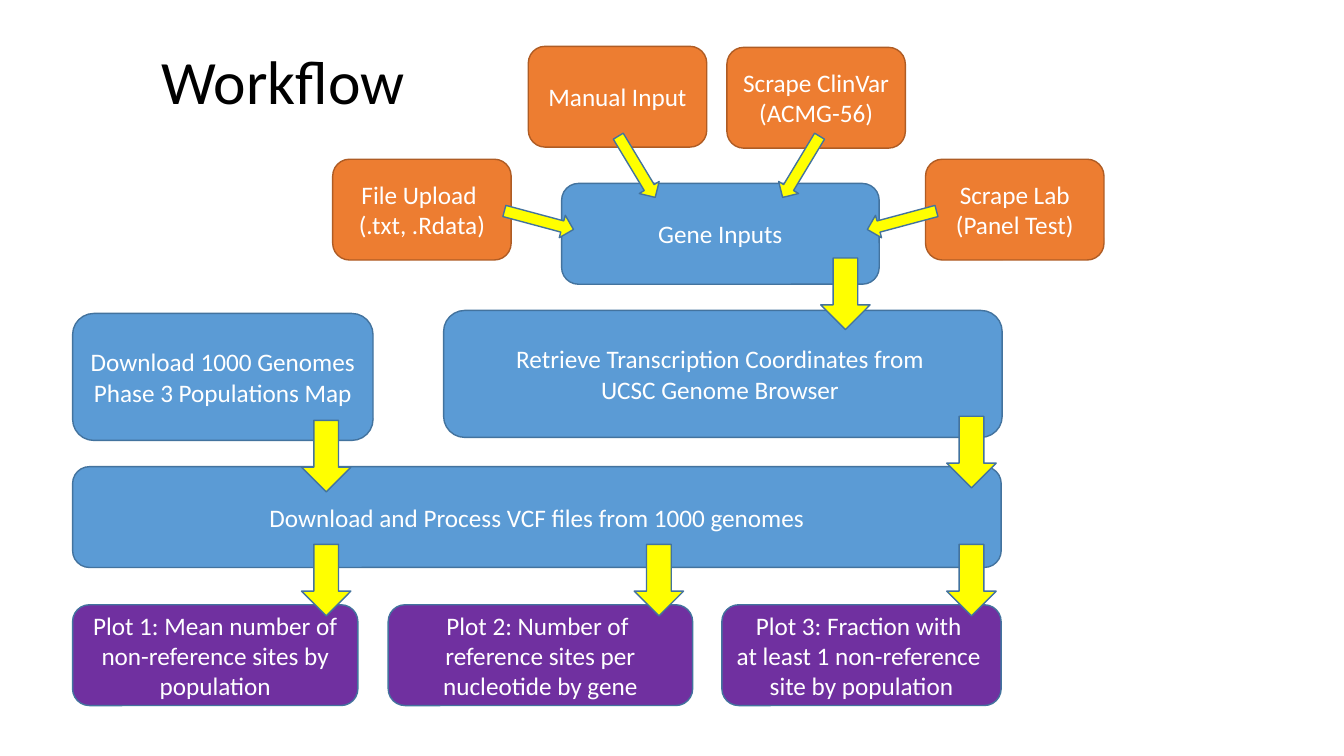
from pptx import Presentation
from pptx.dml.color import RGBColor
from pptx.enum.shapes import MSO_SHAPE as Shape
from pptx.enum.text import MSO_ANCHOR as Anchor, PP_ALIGN as Align
from pptx.util import Inches, Pt

COLOURS = {
    "input": "ED7D31", "input_line": "AF5C24", "step": "5B9BD5", "line": "43739E",
    "plot": "7030A0", "arrow": "FFFF00", "title": "000000", "label": "FFFFFF",
}


class Workflow:
    """Draws titles, boxes and arrows of one style on a slide."""

    def __init__(self, slide, font="Calibri"):
        self.slide = slide
        self.font = font

    def style_text(self, paragraph, size, colour, align):
        paragraph.alignment = align
        paragraph.font.name = self.font
        paragraph.font.size = Pt(size)
        paragraph.font.color.rgb = RGBColor.from_string(COLOURS[colour])

    def title(self, text, left, top, width, height):
        heading = self.slide.shapes.title
        heading.left, heading.top = Inches(left), Inches(top)
        heading.width, heading.height = Inches(width), Inches(height)
        heading.text_frame.text = text
        heading.text_frame.vertical_anchor = Anchor.MIDDLE
        paragraph = heading.text_frame.paragraphs[0]
        paragraph.line_spacing = 0.9
        self.style_text(paragraph, 44, "title", Align.LEFT)

    def outline(self, kind, left, top, width, height, fill, line="line"):
        shape = self.slide.shapes.add_shape(
            kind, Inches(left), Inches(top), Inches(width), Inches(height))
        shape.shadow.inherit = False
        shape.fill.solid()
        shape.fill.fore_color.rgb = RGBColor.from_string(COLOURS[fill])
        shape.line.color.rgb = RGBColor.from_string(COLOURS[line])
        shape.line.width = Pt(1)
        return shape

    def box(self, text, left, top, width, height, fill, line="line"):
        frame = self.outline(
            Shape.ROUNDED_RECTANGLE, left, top, width, height, fill, line).text_frame
        frame.word_wrap = True
        frame.vertical_anchor = Anchor.MIDDLE
        frame.text = text
        self.style_text(frame.paragraphs[0], 18, "label", Align.CENTER)

    def arrow(self, left, top, thickness, angle):
        pointer = self.outline(Shape.RIGHT_ARROW, left, top, 0.71, thickness, "arrow")
        pointer.rotation = angle


def main():
    deck = Presentation()
    deck.slide_width, deck.slide_height = Inches(13.33), Inches(7.5)
    flow = Workflow(deck.slides.add_slide(deck.slide_layouts[5]))
    flow.title("Workflow", 1.5, 0.11, 2.76, 1.45)

    gene_inputs = [
        ("File Upload \v(.txt, .Rdata)", 3.3, 1.58),
        ("Manual Input", 5.24, 0.46),
        ("Scrape ClinVar\v(ACMG-56)", 7.21, 0.47),
        ("Scrape Lab\v(Panel Test)", 9.18, 1.58),
    ]
    for label, left, top in gene_inputs:
        flow.box(label, left, top, 1.77, 1, "input", "input_line")

    steps = [
        ("Gene Inputs", 5.57, 1.82, 3.15, 1),
        ("Retrieve Transcription Coordinates from \vUCSC Genome Browser ",
         4.4, 3.08, 5.54, 1.26),
        ("Download 1000 Genomes Phase 3 Populations Map", 0.72, 3.11, 2.98, 1.26),
        ("Download and Process VCF files from 1000 genomes", 0.72, 4.63, 9.21, 1),
    ]
    for label, left, top, width, height in steps:
        flow.box(label, left, top, width, height, "step")

    plots = [
        ("Plot 1: Mean number of non-reference sites by population", 0.72, 2.83),
        ("Plot 2: Number of \vreference sites per nucleotide by gene", 3.85, 3.02),
        ("Plot 3: Fraction with \vat least 1 non-reference \vsite by population",
         7.16, 2.77),
    ]
    for label, left, width in plots:
        flow.box(label, left, 6, width, 1, "plot")

    input_arrows = [(4.99, 2.07, 15), (5.96, 1.54, 58.9),
                    (7.59, 1.54, 121.1), (8.59, 2.07, 165)]
    for left, top, angle in input_arrows:
        flow.arrow(left, top, 0.23, angle)

    step_arrows = [(8.03, 2.67), (2.88, 4.28), (9.28, 4.24),
                   (2.88, 5.51), (6.18, 5.51), (9.28, 5.51)]
    for left, top in step_arrows:
        flow.arrow(left, top, 0.49, 90)

    deck.save("out.pptx")


if __name__ == "__main__":
    main()
